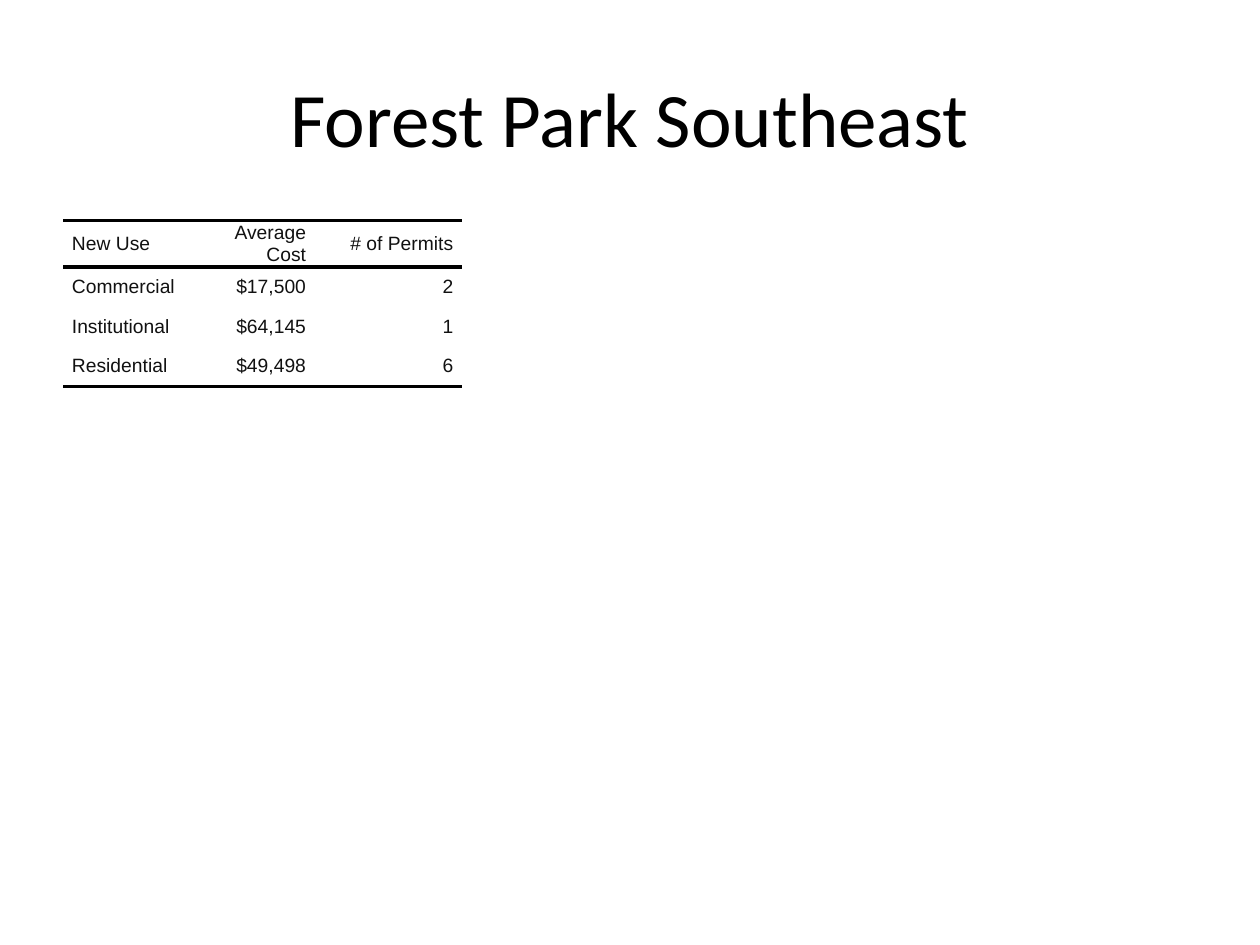
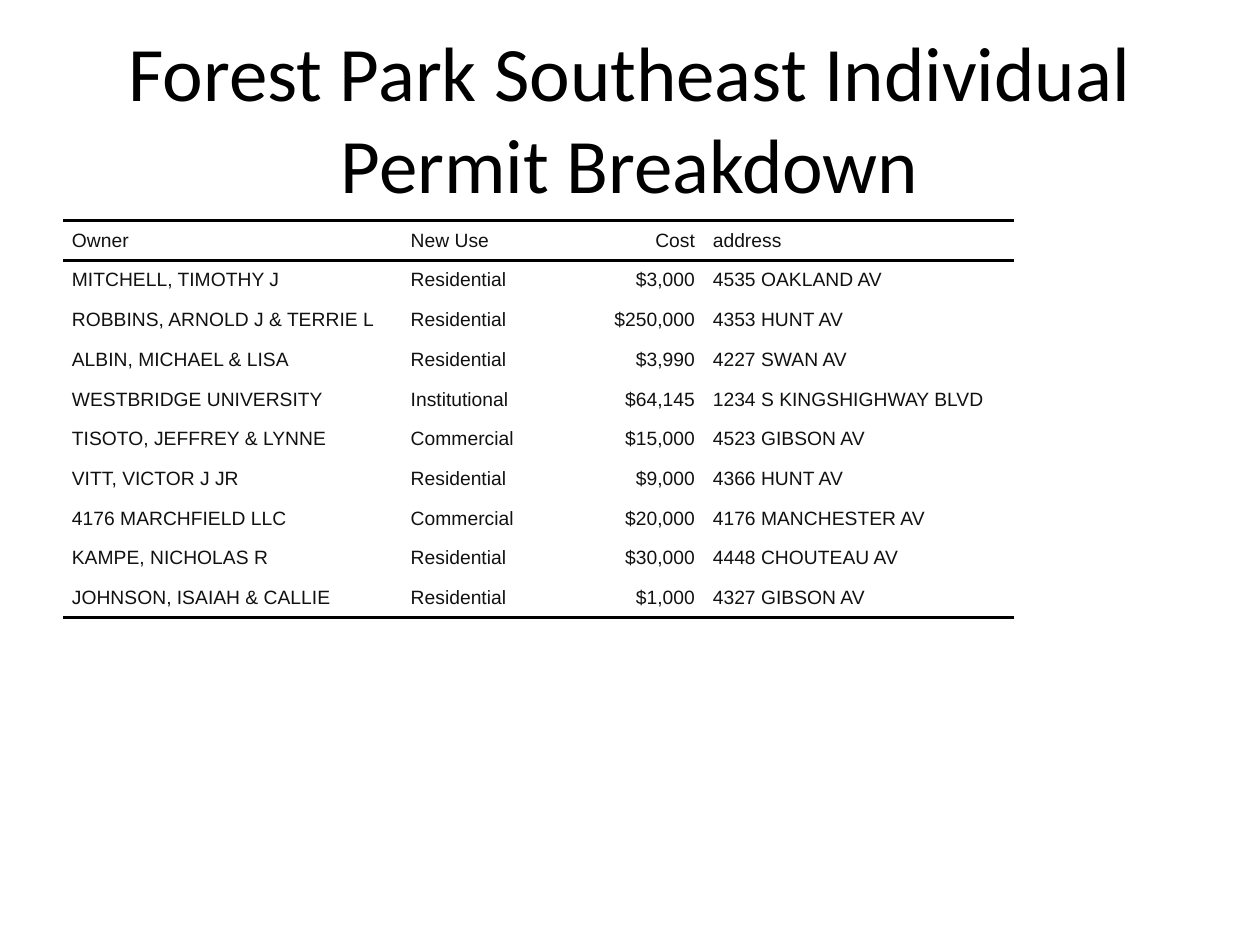
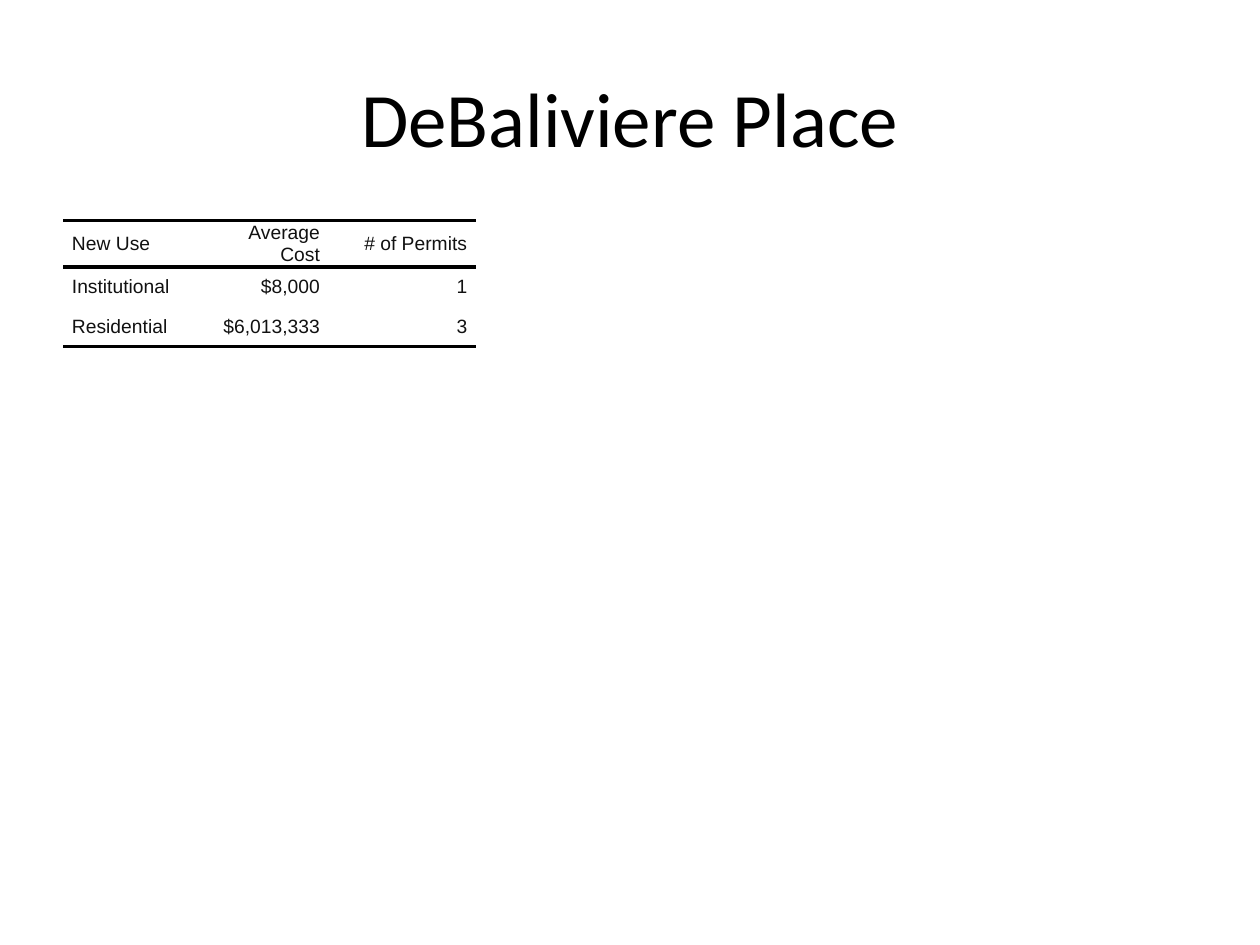
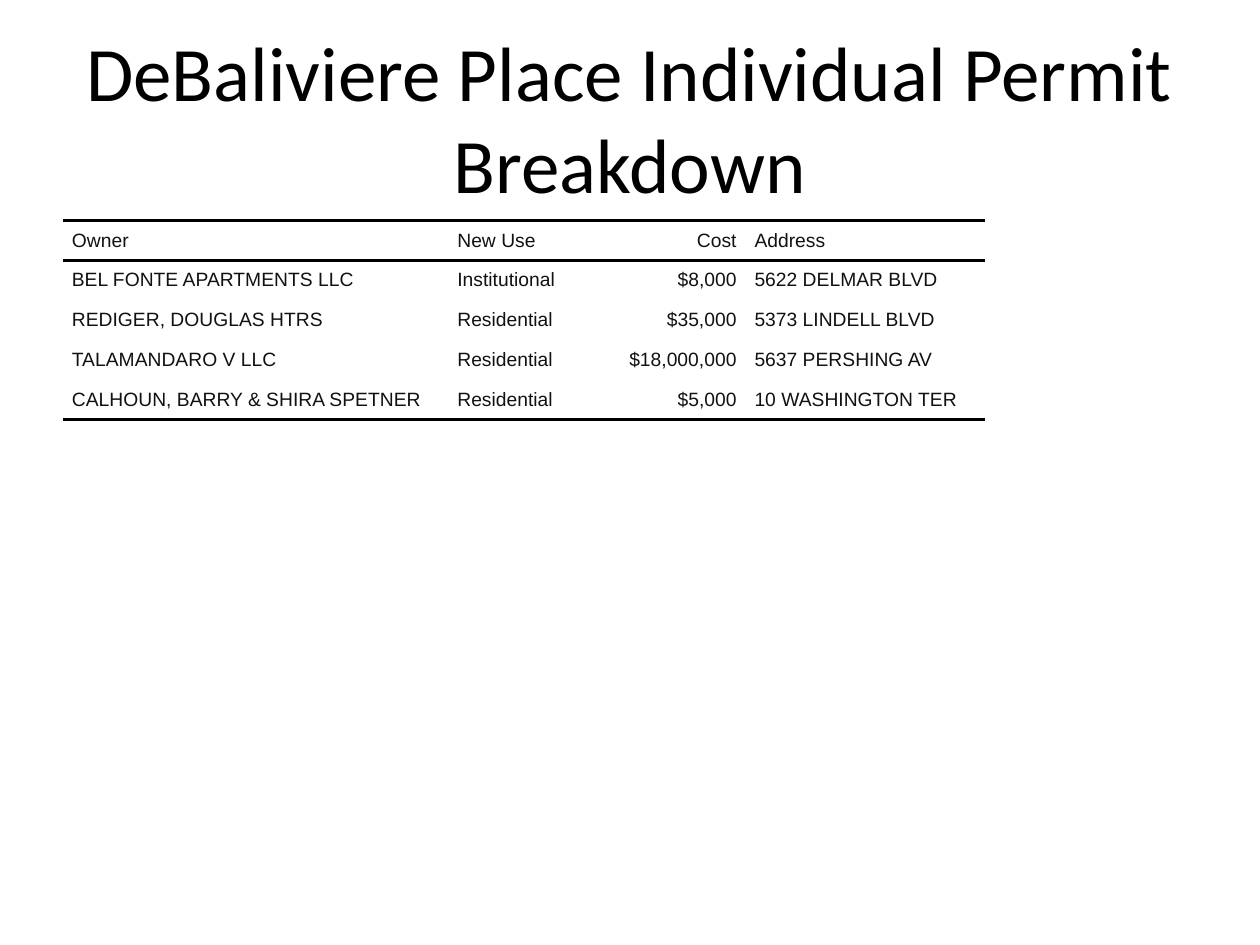
from lxml.etree import SubElement as Sub
from pptx import Presentation as Deck
from pptx.dml.color import RGBColor as Rgb
from pptx.enum.text import MSO_ANCHOR as Anchor, PP_ALIGN as Align
from pptx.oxml.ns import qn
from pptx.util import Cm, Pt

INK = {"title": "000000", "rule": "000000", "cell": "111111"}
LEFT, WIDE = Cm(1.27), Cm(22.86)
TOP, TALL = Cm(4.45), Cm(12.57)
ROW, PAD = Cm(0.8), Cm(0.18)
PLAIN = "{2D5ABB26-0587-4C30-8999-92F81FD0307C}"

SUMS = ("New Use", "Average Cost", "# of Permits")

PAGES = [
    {
        "title": "Forest Park Southeast",
        "cols": (2.79, 2.29, 2.97),
        "right": (1, 2),
        "rows": [
            SUMS,
            ("Commercial", "$17,500", "2"),
            ("Institutional", "$64,145", "1"),
            ("Residential", "$49,498", "6"),
        ],
    },
    {
        "title": "Forest Park Southeast Individual Permit Breakdown",
        "cols": (6.83, 2.79, 3.3, 6.25),
        "right": (2,),
        "rows": [
            ("Owner", "New Use", "Cost", "address"),
            ("MITCHELL, TIMOTHY J", "Residential", "$3,000", "4535 OAKLAND AV"),
            ("ROBBINS, ARNOLD J & TERRIE L", "Residential", "$250,000", "4353 HUNT AV"),
            ("ALBIN, MICHAEL & LISA", "Residential", "$3,990", "4227 SWAN AV"),
            ("WESTBRIDGE UNIVERSITY", "Institutional", "$64,145", "1234 S KINGSHIGHWAY BLVD"),
            ("TISOTO, JEFFREY & LYNNE", "Commercial", "$15,000", "4523 GIBSON AV"),
            ("VITT, VICTOR J JR", "Residential", "$9,000", "4366 HUNT AV"),
            ("4176 MARCHFIELD LLC", "Commercial", "$20,000", "4176 MANCHESTER AV"),
            ("KAMPE, NICHOLAS R", "Residential", "$30,000", "4448 CHOUTEAU AV"),
            ("JOHNSON, ISAIAH & CALLIE", "Residential", "$1,000", "4327 GIBSON AV"),
        ],
    },
    {
        "title": "DeBaliviere Place",
        "cols": (2.69, 2.67, 2.97),
        "right": (1, 2),
        "rows": [
            SUMS,
            ("Institutional", "$8,000", "1"),
            ("Residential", "$6,013,333", "3"),
        ],
    },
    {
        "title": "DeBaliviere Place Individual Permit Breakdown",
        "cols": (7.77, 2.69, 3.3, 4.83),
        "right": (2,),
        "rows": [
            ("Owner", "New Use", "Cost", "Address"),
            ("BEL FONTE APARTMENTS LLC", "Institutional", "$8,000", "5622 DELMAR BLVD"),
            ("REDIGER, DOUGLAS HTRS", "Residential", "$35,000", "5373 LINDELL BLVD"),
            ("TALAMANDARO V LLC", "Residential", "$18,000,000", "5637 PERSHING AV"),
            ("CALHOUN, BARRY & SHIRA SPETNER", "Residential", "$5,000", "10 WASHINGTON TER"),
        ],
    },
]


def style(para, face, size, ink, align):
    """Set the font and alignment of a paragraph."""
    para.font.name = face
    para.font.size = Pt(size)
    para.font.color.rgb = Rgb.from_string(INK[ink])
    para.alignment = align


def add_title(slide, text):
    """Add the centred slide title."""
    frame = slide.shapes.add_textbox(LEFT, Cm(0.76), WIDE, Cm(3.18)).text_frame
    frame.word_wrap = True
    frame.vertical_anchor = Anchor.MIDDLE
    frame.text = text
    style(frame.paragraphs[0], "Calibri", 44, "title", Align.CENTER)


def add_rule(cell, side):
    """Draw a black line on one side of a cell."""
    line = Sub(cell._tc.get_or_add_tcPr(), qn(f"a:{side}"), w=str(Pt(2)))
    Sub(Sub(line, qn("a:solidFill")), qn("a:srgbClr"), val=INK["rule"])


def fill_cell(cell, text, align):
    """Write a cell's text with side indents and no fill."""
    cell.margin_left = cell.margin_right = cell.margin_top = cell.margin_bottom = 0
    cell.vertical_anchor = Anchor.MIDDLE
    cell.fill.background()
    cell.text = text
    para = cell.text_frame.paragraphs[0]
    style(para, "Arial", 11, "cell", align)
    para.space_before = para.space_after = Pt(2)
    props = para._p.get_or_add_pPr()
    for side in ("marL", "marR"):
        props.set(side, str(PAD))
    props.set("indent", "0")


def add_grid(slide, rows, cols, right):
    """Add a table ruled above and below its header and at its foot."""
    shape = slide.shapes.add_table(len(rows), len(cols), LEFT, TOP, WIDE, TALL)
    grid = shape.table
    grid.first_row = grid.horz_banding = False
    grid._tbl.tblPr.find(qn("a:tableStyleId")).text = PLAIN
    for col, wide in zip(grid.columns, cols):
        col.width = Cm(wide)
    for r, row in enumerate(rows):
        grid.rows[r].height = ROW
        for c, text in enumerate(row):
            cell = grid.cell(r, c)
            if r == 0:
                add_rule(cell, "lnT")
            if r in (0, len(rows) - 1):
                add_rule(cell, "lnB")
            elif r == 1:
                pass
            fill_cell(cell, text, Align.RIGHT if c in right else Align.LEFT)
    shape.width, shape.height = WIDE, TALL


def main():
    """Build the permit slides and save them."""
    deck = Deck()
    deck.slide_width, deck.slide_height = Cm(25.4), Cm(19.05)
    for page in PAGES:
        slide = deck.slides.add_slide(deck.slide_layouts[6])
        add_title(slide, page["title"])
        add_grid(slide, page["rows"], page["cols"], page["right"])
    deck.save("out.pptx")


if __name__ == "__main__":
    main()
